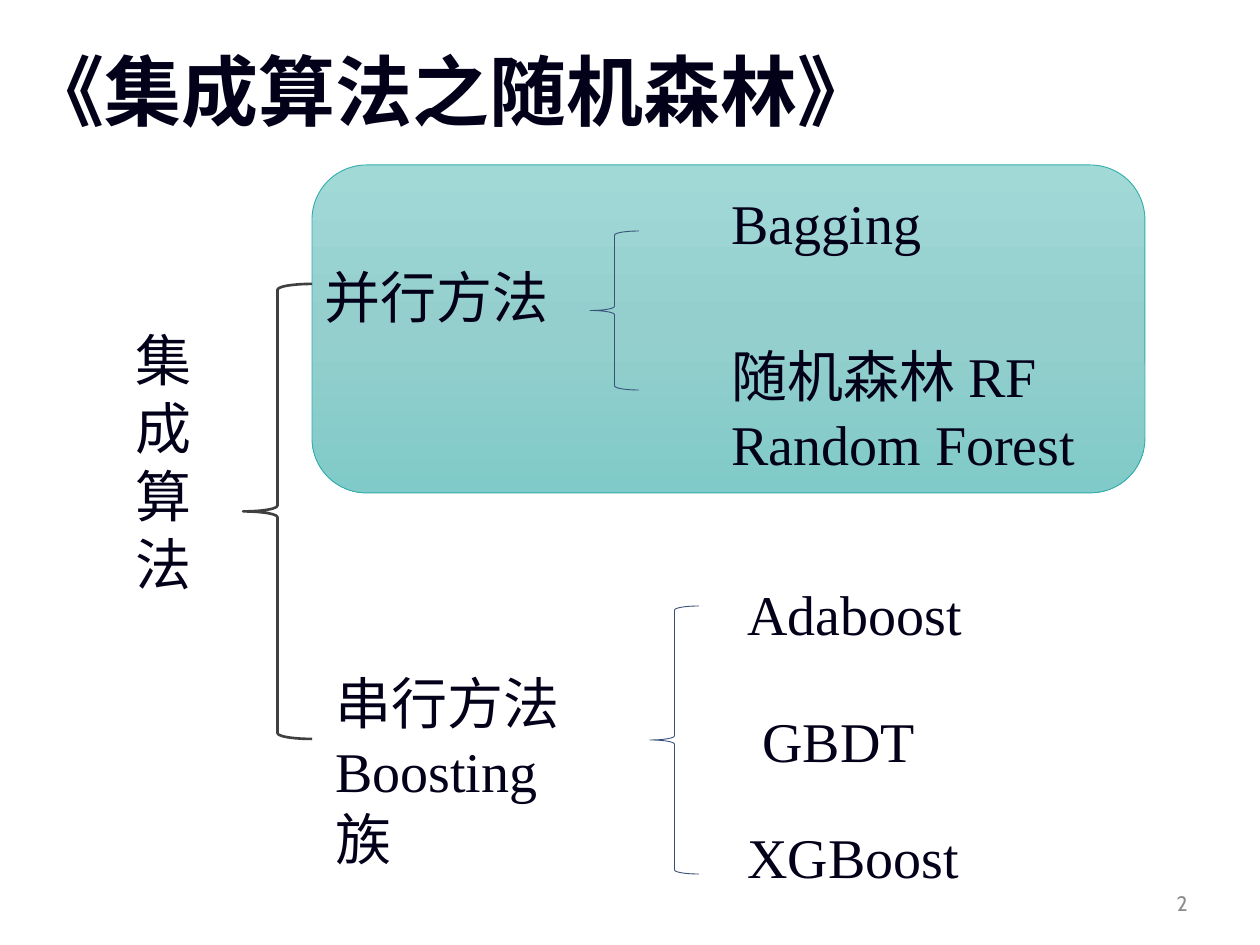
from copy import deepcopy
from lxml.etree import SubElement
from pptx import Presentation
from pptx.dml.color import RGBColor
from pptx.enum.shapes import MSO_SHAPE
from pptx.enum.text import MSO_ANCHOR, MSO_AUTO_SIZE, PP_ALIGN
from pptx.oxml.ns import qn
from pptx.util import Emu, Pt

INK = RGBColor(0x03, 0x00, 0x1A)
GRAY = RGBColor(0x8C, 0x8C, 0x8C)
DARK = RGBColor(0x40, 0x40, 0x40)
BLUE = RGBColor(0x39, 0x52, 0x7B)
TEAL = RGBColor(0x30, 0xAE, 0xAB)
STOPS = [
    (0, RGBColor(0xA1, 0xD9, 0xD7)),
    (0.5, RGBColor(0x94, 0xCF, 0xCD)),
    (1, RGBColor(0x80, 0xCB, 0xC9)),
]
HAN = "Noto Sans CJK SC"
ROMAN = "Times New Roman"


def px(count):
    return Emu(round(count * 914400 / 126))


def add_run(para, text, font, size, color, bold=False):
    run = para.add_run()
    run.text = text
    run.font.name = font
    run.font.size = Pt(size)
    run.font.bold = bold
    run.font.color.rgb = color
    if font == HAN:
        SubElement(run.font._element, qn("a:ea"), typeface=font)


def add_text(slide, box, lines):
    frame = slide.shapes.add_textbox(*map(px, box)).text_frame
    frame.word_wrap = True
    for row, runs in enumerate(lines):
        para = frame.add_paragraph() if row else frame.paragraphs[0]
        para.line_spacing = Pt(39)
        for text, font in runs:
            add_run(para, text, font, 32, INK)


def add_brace(slide, box, color, width):
    brace = slide.shapes.add_shape(MSO_SHAPE.LEFT_BRACE, *map(px, box))
    brace.shadow.inherit = False
    brace.fill.background()
    brace.line.color.rgb = color
    brace.line.width = Pt(width)


def add_panel(slide, box):
    panel = slide.shapes.add_shape(MSO_SHAPE.ROUNDED_RECTANGLE, *map(px, box))
    panel.shadow.inherit = False
    panel.line.color.rgb = TEAL
    panel.line.width = Pt(0.5)
    panel.fill.gradient()
    panel.fill.gradient_angle = 270
    stops = panel.element.spPr.find(qn("a:gradFill")).find(qn("a:gsLst"))
    stops.append(deepcopy(stops[-1]))
    for stop, (place, color) in zip(panel.fill.gradient_stops, STOPS):
        stop.position = place
        stop.color.rgb = color


def add_title(slide, box):
    title = slide.shapes.title
    title.left, title.top, title.width, title.height = map(px, box)
    frame = title.text_frame
    frame.auto_size = MSO_AUTO_SIZE.NONE
    frame.vertical_anchor = MSO_ANCHOR.TOP
    para = frame.paragraphs[0]
    para.alignment = PP_ALIGN.LEFT
    para.line_spacing = 0.8
    add_run(para, "《集成算法之随机森林》", HAN, 44, INK, True)


def add_root(slide, box):
    left, top, width, height = box
    add_text(slide, (left, top + 34, 82, 285), [[(char, HAN)] for char in "集成算法"])
    add_brace(slide, (left + width - 69, top, 69, height), DARK, 1.5)


def add_bagging(slide, box):
    left, top, width, height = box
    add_panel(slide, box)
    add_text(slide, (left, top + 90, 252, 81), [[("并行方法", HAN)]])
    add_brace(slide, (left + 278, top + 66, 49, 159), BLUE, 0.5)
    add_text(slide, (left + 407, top + 16, 217, 81), [[("Bagging", ROMAN)]])
    add_text(slide, (left + 407, top + 169, 377, 149),
             [[("随机森林 ", HAN), ("RF", ROMAN)], [("Random Forest", ROMAN)]])


def add_boosting(slide, box):
    left, top, width, height = box
    add_text(slide, (left, top + 89, 277, 216),
             [[("串行方法", HAN)], [("Boosting", ROMAN), ("族", HAN)]])
    add_brace(slide, (left + 327, top + 34, 49, 268), BLUE, 0.5)
    for name, right, down in [("Adaboost", 412, 0), ("GBDT", 427, 127), ("XGBoost", 412, 243)]:
        add_text(slide, (left + right, top + down, 252, 81), [[(name, ROMAN)]])


def add_number(slide, box):
    frame = slide.shapes.add_textbox(*map(px, box)).text_frame
    frame.word_wrap = True
    frame.vertical_anchor = MSO_ANCHOR.MIDDLE
    para = frame.paragraphs[0]
    para.alignment = PP_ALIGN.RIGHT
    add_run(para, "2", "Cabin", 12, GRAY)


def main():
    deck = Presentation()
    deck.slide_width, deck.slide_height = px(1260), px(945)
    slide = deck.slides.add_slide(deck.slide_layouts[5])
    add_title(slide, (15, 55, 1004, 118))
    add_bagging(slide, (312, 165, 833, 328))
    add_root(slide, (123, 284, 189, 455))
    add_boosting(slide, (323, 572, 664, 324))
    add_number(slide, (906, 878, 294, 50))
    deck.save("out.pptx")


if __name__ == "__main__":
    main()
